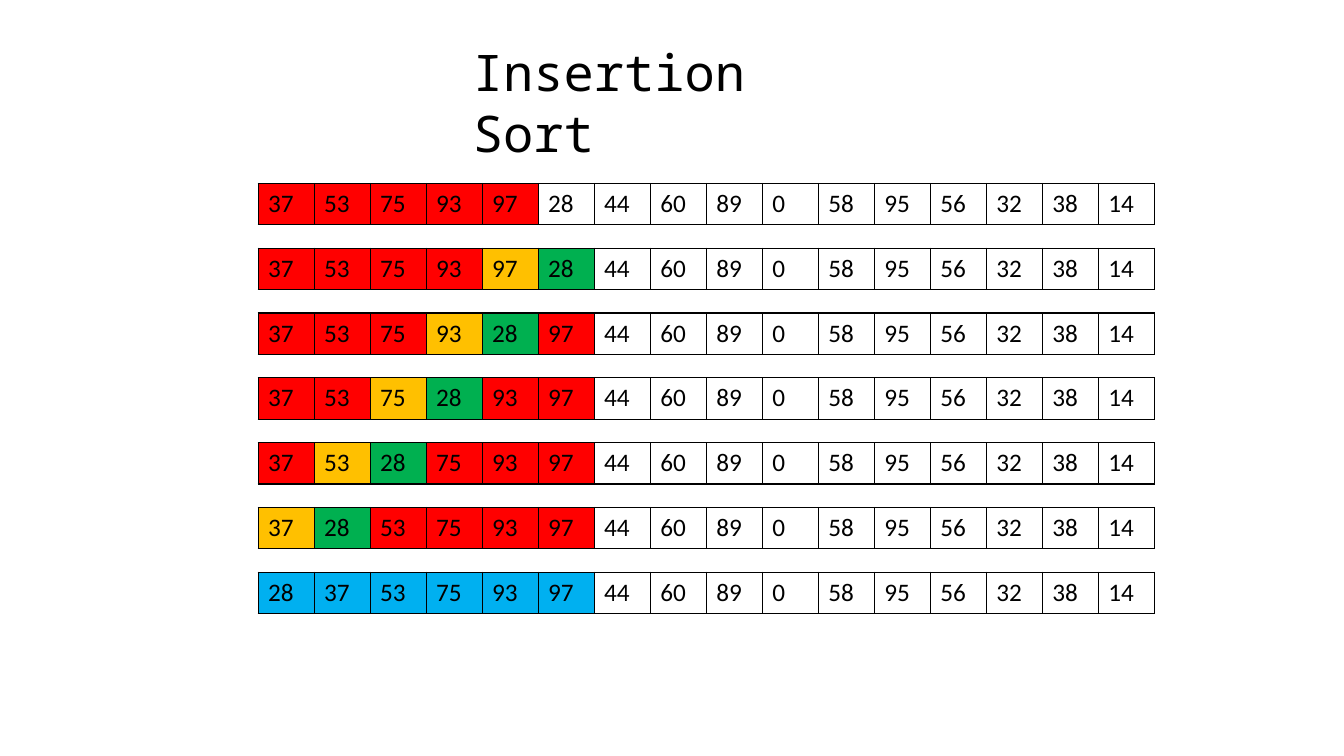
from lxml.etree import SubElement
from pptx import Presentation
from pptx.dml.color import RGBColor
from pptx.enum.text import MSO_ANCHOR, MSO_AUTO_SIZE, PP_ALIGN
from pptx.oxml.ns import qn
from pptx.util import Inches, Pt

COLORS = {
    "text": "000000",
    "border": "000000",
    "sorted": "FF0000",
    "compared": "FFC000",
    "key": "00B050",
    "done": "00B0F0",
}
TITLE_FONT, CELL_FONT = "Noto Sans Mono", "Calibri"
VALUES = [37, 53, 75, 93, 97, 28, 44, 60, 89, 0, 58, 95, 56, 32, 38, 14]
KEY_START = 5


class SortPage:
    """Style and slide, with a grid of one column per value and one row per step."""

    left, top = 2.56, 1.82
    column = 8.89 / len(VALUES)
    row_pitch, row_height = 0.643, 0.41

    def __init__(self, deck):
        self.slide = deck.slides.add_slide(deck.slide_layouts[5])

    def format_text(self, para, font_name, size):
        para.font.name = font_name
        para.font.size = Pt(size)
        para.font.color.rgb = RGBColor.from_string(COLORS["text"])

    def title(self, text, left, top, width, height):
        box = self.slide.shapes.title
        box.left, box.top = Inches(left), Inches(top)
        box.width, box.height = Inches(width), Inches(height)
        frame = box.text_frame
        frame.text = text
        frame.word_wrap = True
        frame.auto_size = MSO_AUTO_SIZE.NONE
        frame.vertical_anchor = MSO_ANCHOR.TOP
        para = frame.paragraphs[0]
        para.alignment = PP_ALIGN.LEFT
        self.format_text(para, TITLE_FONT, 36)

    def border(self, cell):
        properties = cell._tc.get_or_add_tcPr()
        for side in ("lnL", "lnR", "lnT", "lnB"):
            line = SubElement(properties, qn(f"a:{side}"), w=str(Pt(1)))
            fill = SubElement(line, qn("a:solidFill"))
            SubElement(fill, qn("a:srgbClr"), val=COLORS["border"])

    def array(self, row, values, roles):
        """Draw one step; roles maps a position to the name of its colour."""
        table = self.slide.shapes.add_table(
            1, len(values),
            Inches(self.left), Inches(self.top + row * self.row_pitch),
            Inches(self.column * len(values)), Inches(self.row_height),
        ).table
        table.first_row = table.horz_banding = False
        for position, value in enumerate(values):
            table.columns[position].width = Inches(self.column)
            cell = table.cell(0, position)
            cell.text = str(value)
            self.format_text(cell.text_frame.paragraphs[0], CELL_FONT, 18)
            self.border(cell)
            if position in roles:
                cell.fill.solid()
                cell.fill.fore_color.rgb = RGBColor.from_string(COLORS[roles[position]])
            else:
                cell.fill.background()


deck = Presentation()
deck.slide_width, deck.slide_height = Inches(13.33), Inches(7.5)
page = SortPage(deck)
page.title("Insertion Sort", 4.59, 0.36, 4.14, 0.71)

# Sorted part before the next key is taken
page.array(0, VALUES, dict.fromkeys(range(KEY_START), "sorted"))

# The key is compared with its left neighbour, then swapped with it
values = list(VALUES)
for step, key in enumerate(range(KEY_START, 0, -1), start=1):
    roles = dict.fromkeys(range(KEY_START + 1), "sorted")
    roles.update({key - 1: "compared", key: "key"})
    page.array(step, values, roles)
    values[key - 1], values[key] = values[key], values[key - 1]

# The key has reached its place
page.array(KEY_START + 1, values, dict.fromkeys(range(KEY_START + 1), "done"))

deck.save("out.pptx")
